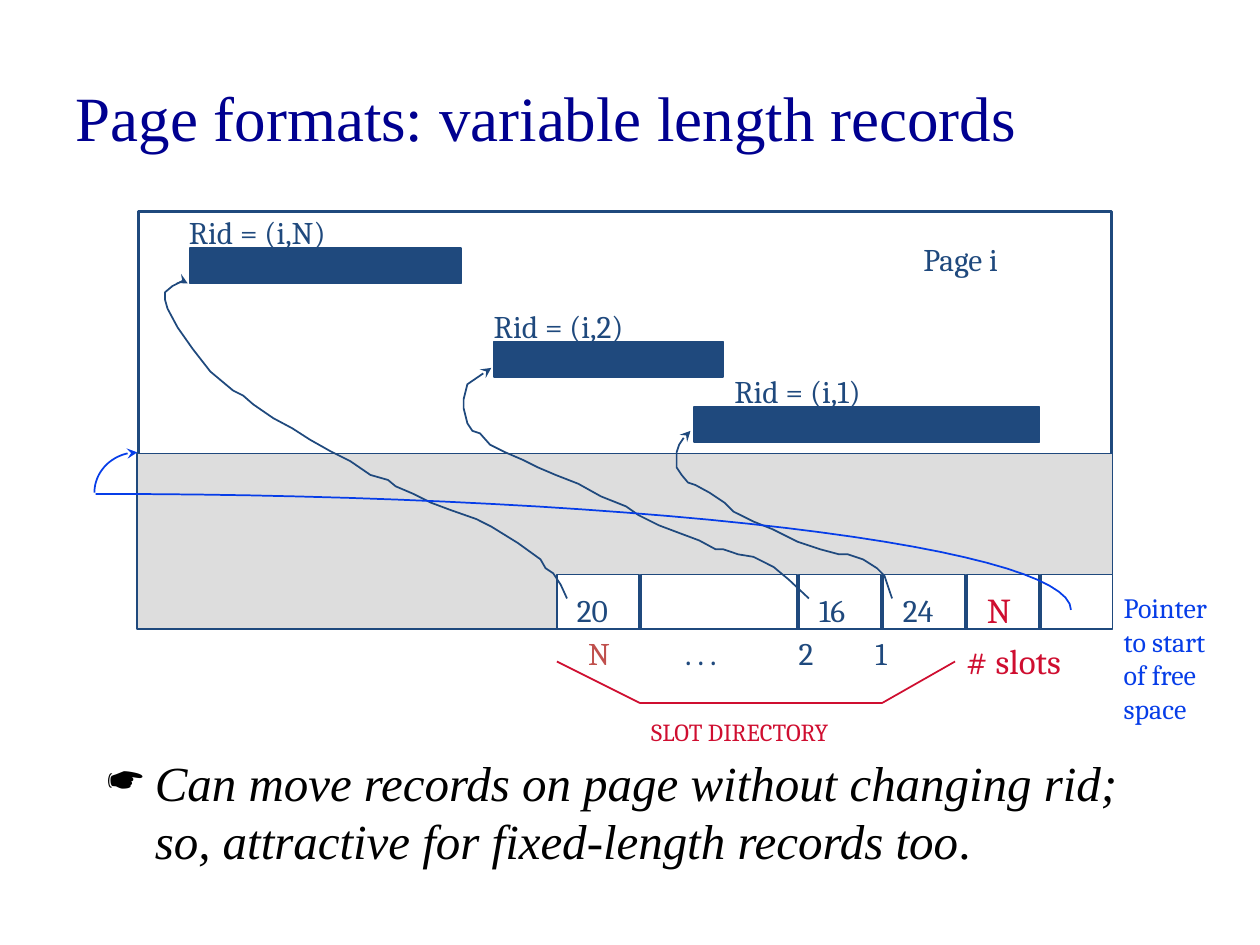
import math
from itertools import pairwise

from lxml import etree
from pptx import Presentation
from pptx import util as u
from pptx.dml.color import RGBColor
from pptx.enum import shapes, text
from pptx.oxml.ns import qn

SLIDE_WIDTH, SLIDE_HEIGHT = u.Inches(10), u.Inches(7.5)
COLUMN, ROW = SLIDE_WIDTH // 1000, SLIDE_HEIGHT // 750

NAVY = RGBColor(0x00, 0x00, 0x90)
STEEL = RGBColor(0x1F, 0x49, 0x7D)
GREY = RGBColor(0xDD, 0xDD, 0xDD)
WHITE = RGBColor(0xFF, 0xFF, 0xFF)
BLACK = RGBColor(0x00, 0x00, 0x00)
BLUE = RGBColor(0x06, 0x3D, 0xE8)
RED = RGBColor(0xCF, 0x0E, 0x30)
BRICK = RGBColor(0xC0, 0x50, 0x4D)

TITLE_BOX = (50, 30, 900, 125)
PAGE_BOX = (110, 168, 772, 331)
DIRECTORY_BOX = (442, 456, 441, 43)
NOTE_BOX = (75, 592, 842, 117)

RECORDS = [
    ("Rid = (i,N)", (41, 29, 215, 28), (30, -4, 138, 40)),
    ("Rid = (i,2)", (282, 103, 182, 28), (272, 71, 129, 40)),
    ("Rid = (i,1)", (441, 155, 274, 28), (463, 122, 129, 40)),
]
RECORD_POINTERS = [
    [(598, 307), (592, 289), (586, 283), (575, 276), (563, 272), (556, 272),
     (541, 268), (523, 262), (503, 252), (488, 246), (472, 238), (465, 231),
     (453, 223), (442, 217), (436, 215), (431, 209), (427, 203), (427, 191),
     (429, 185), (433, 179), (438, 174)],
    [(532, 307), (516, 292), (504, 282), (496, 278), (488, 274), (476, 272),
     (464, 268), (458, 268), (445, 261), (429, 255), (413, 249), (397, 241),
     (387, 234), (367, 226), (349, 216), (331, 209), (317, 203), (305, 197),
     (291, 191), (279, 185), (271, 176), (265, 174), (261, 168), (258, 156),
     (258, 149), (261, 137), (280, 124)],
    [(340, 307), (335, 296), (329, 287), (323, 283), (319, 276), (301, 263),
     (280, 250), (268, 244), (248, 237), (232, 231), (218, 224), (204, 218),
     (198, 213), (184, 209), (168, 198), (152, 190), (136, 181), (122, 172),
     (107, 164), (91, 153), (83, 146), (75, 142), (57, 127), (43, 109),
     (31, 92), (23, 77), (21, 70), (21, 64), (27, 59), (39, 53), (39, 57)],
]
SLOTS = [
    (65, "20", STEEL, 18),
    (124, "", STEEL, 18),
    (65, "16", STEEL, 18),
    (65, "24", STEEL, 18),
    (57, "N", RED, 20),
    (57, "", STEEL, 18),
]


def inside(box, part):
    return (box[0] + part[0], box[1] + part[1], *part[2:])


def to_lengths(box):
    return [round(value * unit) for value, unit in zip(box, (COLUMN, ROW) * 2)]


def write(frame, content, *, size=18, color=STEEL, font="Cambria", italic=False):
    for index, line in enumerate(content.split("\n")):
        paragraph = frame.paragraphs[0] if index == 0 else frame.add_paragraph()
        paragraph.alignment = text.PP_ALIGN.LEFT
        add_run(paragraph, line, size=size, color=color, font=font, italic=italic)


def add_run(paragraph, content, *, size, color, font="Cambria", italic=False):
    run = paragraph.add_run()
    run.text = content
    run.font.size = u.Pt(size)
    run.font.name = font
    run.font.italic = italic
    run.font.color.rgb = color


def add_label(slide, box, content, *, wrap=False, **style):
    shape = slide.shapes.add_textbox(*to_lengths(box))
    shape.text_frame.word_wrap = wrap
    write(shape.text_frame, content, **style)
    return shape.text_frame.paragraphs[0]


def add_box(slide, box, fill=None, width=1):
    shape = slide.shapes.add_shape(shapes.MSO_SHAPE.RECTANGLE, *to_lengths(box))
    shape.shadow.inherit = False
    if fill is None:
        shape.fill.background()
    else:
        shape.fill.solid()
        shape.fill.fore_color.rgb = fill
    shape.line.color.rgb = STEEL
    shape.line.width = u.Pt(width)


def add_curve(slide, box, points, color, arrow=True):
    start, *rest = [to_lengths(inside(box, point)) for point in points]
    builder = slide.shapes.build_freeform(*start)
    builder.add_line_segments(rest, close=False)
    shape = builder.convert_to_shape()
    shape.shadow.inherit = False
    shape.fill.background()
    shape.line.color.rgb = color
    shape.line.width = u.Pt(1)
    if arrow:
        line = shape.element.spPr.find(qn("a:ln"))
        etree.SubElement(line, qn("a:tailEnd"), type="stealth")


def quarter_ellipse(center, radii, start_angle):
    angles = [math.radians(start_angle - 3 * step) for step in range(31)]
    return [(center[0] + radii[0] * math.cos(angle),
             center[1] - radii[1] * math.sin(angle)) for angle in angles]


def place_title(slide, box):
    title = slide.shapes.title
    title.left, title.top, title.width, title.height = to_lengths(box)
    title.text_frame.vertical_anchor = text.MSO_ANCHOR.MIDDLE
    write(title.text_frame, "Page formats: variable length records",
          size=36, color=NAVY, font="Times New Roman")


def place_page(slide, box):
    add_box(slide, box, width=2)
    add_label(slide, inside(box, (613, 18, 87, 40)), "Page i")
    for _, bar, _ in RECORDS:
        add_box(slide, inside(box, bar), STEEL)
    add_box(slide, inside(box, (-1, 192, 774, 139)), GREY)
    for name, _, label in RECORDS:
        add_label(slide, inside(box, label), name)


def place_slots(slide, box):
    left, top, width, height = box
    gap = (width - sum(slot[0] for slot in SLOTS)) / (len(SLOTS) - 1)
    for slot_width, value, color, size in SLOTS:
        add_box(slide, (left, top, slot_width, height), WHITE)
        if value:
            add_label(slide, (left + 6, top + 26 - size, 45, 40), value,
                      color=color, size=size)
        left += slot_width + gap


def place_directory_labels(slide, box):
    add_label(slide, inside(box, (440, 8, 91, 117)),
              "Pointer\nto start\nof free\nspace", size=16, color=BLUE)
    add_label(slide, inside(box, (65, 108, 187, 33)), "SLOT DIRECTORY",
              size=14, color=RED)
    add_label(slide, inside(box, (315, 47, 99, 43)), "# slots", size=20, color=RED)

    numbers = add_label(slide, inside(box, (15, 42, 297, 40)), "N",
                        wrap=True, color=BRICK)
    add_run(numbers, "\t. . .\t2\t1", size=18, color=STEEL)
    tabs = etree.SubElement(numbers._p.get_or_add_pPr(), qn("a:tabLst"))
    for stop in (77, 167, 228):
        etree.SubElement(tabs, qn("a:tab"), pos=str(stop * COLUMN), algn="l")

    bracket = slide.shapes.add_group_shape()
    corners = [(0, 69), (66, 102), (258, 102), (316, 69)]
    for start, end in pairwise(corners):
        connector = bracket.shapes.add_connector(
            shapes.MSO_CONNECTOR.STRAIGHT,
            *to_lengths(inside(box, start)), *to_lengths(inside(box, end)))
        connector.line.color.rgb = RED
        connector.line.width = u.Pt(1)
        etree.SubElement(connector.element.spPr, qn("a:effectLst"))


def place_pointers(slide, box):
    for points in RECORD_POINTERS:
        add_curve(slide, box, points, STEEL)
    add_curve(slide, box, quarter_ellipse((-1, 223), (34, 32), 180), BLUE)
    add_curve(slide, box, quarter_ellipse((-34, 316), (774, 92), 90), BLUE, arrow=False)


def place_note(slide, box):
    style = {"size": 28, "color": BLACK, "font": "Times New Roman"}
    paragraph = add_label(
        slide, box,
        "Can move records on page without changing rid; "
        "so, attractive for fixed-length records too",
        wrap=True, italic=True, **style)
    add_run(paragraph, ".", **style)
    properties = paragraph._p.get_or_add_pPr()
    properties.set("marL", str(38 * COLUMN))
    properties.set("indent", str(-38 * COLUMN))
    etree.SubElement(properties, qn("a:buChar"), char="☛")


def main():
    presentation = Presentation()
    presentation.slide_width, presentation.slide_height = SLIDE_WIDTH, SLIDE_HEIGHT
    slide = presentation.slides.add_slide(presentation.slide_layouts[5])
    place_title(slide, TITLE_BOX)
    place_note(slide, NOTE_BOX)
    place_page(slide, PAGE_BOX)
    place_slots(slide, DIRECTORY_BOX)
    place_directory_labels(slide, DIRECTORY_BOX)
    place_pointers(slide, PAGE_BOX)
    presentation.save("out.pptx")


if __name__ == "__main__":
    main()
